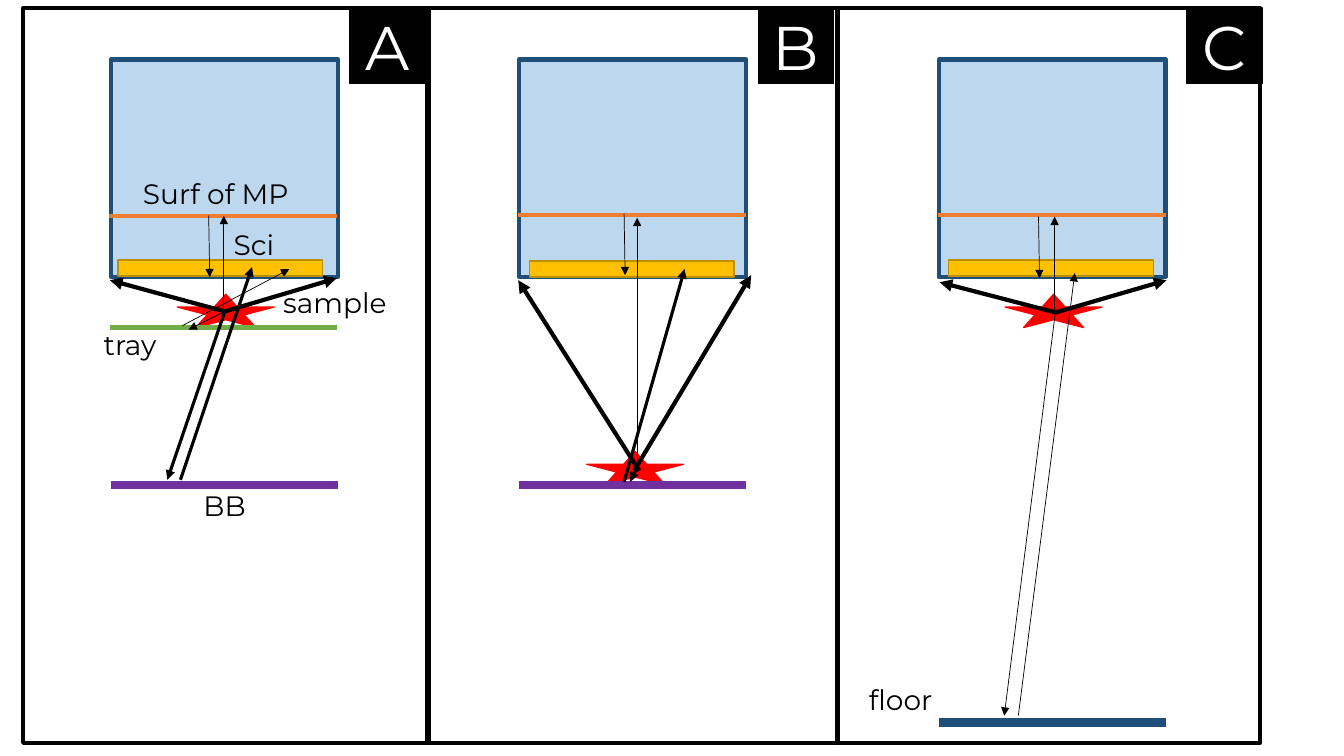
from pptx import Presentation
from pptx.dml.color import RGBColor
from pptx.enum.shapes import MSO_CONNECTOR as Connector, MSO_SHAPE as Preset
from pptx.enum.text import MSO_ANCHOR as Anchor, MSO_AUTO_SIZE as AutoSize, PP_ALIGN as Align
from pptx.oxml.ns import qn
from pptx.util import Inches, Pt
from lxml.etree import SubElement

BLACK, WHITE, RED, NAVY = "000000", "FFFFFF", "FF0000", "1F4E79"
PALE_BLUE, ORANGE, GREEN, PURPLE = "BDD7EE", "ED7D31", "70AD47", "7030A0"
GOLD, DARK_GOLD = "FFC000", "BD8E00"
THIN, MEDIUM, THICK, BAR = 0.5, 2.25, 3, 6


def rgb(value):
    return RGBColor.from_string(value)


class Diagram:
    """Hold the text style and the current slide, and draw each kind of element."""

    font = "Montserrat"
    label_size = 20
    letter_size = 44

    def __init__(self, slide):
        self.slide = slide

    def set_text(self, frame, text, size, color):
        frame.text = text
        font = frame.paragraphs[0].runs[0].font
        font.name, font.size = self.font, Pt(size)
        font.color.rgb = rgb(color)

    def shape(self, preset, bounds, fill, line, weight=1):
        shape = self.slide.shapes.add_shape(preset, *map(Inches, bounds))
        shape.shadow.inherit = False
        if fill:
            shape.fill.solid()
            shape.fill.fore_color.rgb = rgb(fill)
        else:
            shape.fill.background()
        shape.line.color.rgb = rgb(line)
        shape.line.width = Pt(weight)
        return shape

    def letter(self, text, left):
        tag = self.shape(Preset.RECTANGLE, (left, 0.08, 0.75, 0.75), BLACK, BLACK)
        frame = tag.text_frame
        frame.vertical_anchor = Anchor.MIDDLE
        self.set_text(frame, text, self.letter_size, WHITE)
        frame.paragraphs[0].alignment = Align.CENTER

    def label(self, text, left, top, width=1.23):
        box = self.slide.shapes.add_textbox(*map(Inches, (left, top, width, 0.44)))
        frame = box.text_frame
        frame.word_wrap = True
        frame.auto_size = AutoSize.SHAPE_TO_FIT_TEXT
        self.set_text(frame, text, self.label_size, BLACK)

    def line(self, start, end, weight, color=BLACK):
        line = self.slide.shapes.add_connector(
            Connector.STRAIGHT, *map(Inches, (*start, *end)))
        line.line.color.rgb = rgb(color)
        line.line.width = Pt(weight)
        SubElement(line._element.spPr, qn("a:effectLst"))
        return line

    def arrow(self, start, end, weight):
        arrow = self.line(start, end, weight)
        outline = arrow._element.spPr.find(qn("a:ln"))
        SubElement(outline, qn("a:tailEnd"), type="triangle")

    def apparatus(self, left, surface_left, surface_y, star, base):
        base_left, base_y, base_color = base
        self.shape(Preset.RECTANGLE, (left, 0.59, 2.25, 2.16), PALE_BLUE, NAVY, THICK)
        self.line((surface_left, surface_y), (surface_left + 2.26, surface_y), THICK, ORANGE)
        self.shape(Preset.STAR_5_POINT, (*star, 0.96, 0.33), RED, RED)
        self.line((base_left, base_y), (base_left + 2.25, base_y), BAR, base_color)

    def frame(self, left, width):
        self.shape(Preset.RECTANGLE, (left, 0.08, width, 7.29), None, BLACK, THICK)

    def plate(self, left, top):
        self.shape(Preset.RECTANGLE, (left, top, 2.03, 0.16), GOLD, DARK_GOLD)


apparatuses = [
    (1.1, 1.08, 2.14, (1.76, 2.92), (1.1, 4.81, PURPLE)),
    (5.15, 5.14, 2.13, (5.82, 4.48), (5.15, 4.81, PURPLE)),
    (9.31, 9.3, 2.13, (9.97, 2.92), (9.31, 7.17, NAVY)),
]
frames = [(0.23, 4.01), (4.25, 4.05), (8.31, 4.19)]
labels = [
    ("Sci", 2.22, 2.21), ("Surf of MP", 1.32, 1.7, 1.83), ("sample", 2.71, 2.78, 1.48),
    ("tray", 0.93, 3.2), ("BB", 1.92, 4.8), ("floor", 8.52, 6.72),
]
edge_rays = [
    ((2.23, 3.09), (1.09, 2.78)), ((2.23, 3.09), (3.34, 2.76)),
]
plates = [(1.17, 2.58), (5.25, 2.59), (9.41, 2.58)]
letters = [("A", 3.47), ("B", 7.52), ("C", 11.77)]
rays = [
    ((2.07, 2.14), (2.08, 2.75), THIN),
    ((2.22, 3.09), (2.22, 2.14), THIN),
    ((2.23, 3.09), (1.87, 3.27), THIN),
    ((1.81, 3.23), (2.87, 2.67), THIN),
    ((2.23, 3.09), (1.66, 4.76), MEDIUM),
    ((1.79, 4.76), (2.5, 2.65), MEDIUM),
    ((6.34, 4.67), (5.14, 2.78), THICK),
    ((6.29, 4.67), (7.45, 2.73), THICK),
    ((6.19, 2.12), (6.2, 2.73), THIN),
    ((6.32, 4.58), (6.32, 2.16), THIN),
    ((6.31, 4.65), (6.25, 4.78), MEDIUM),
    ((6.19, 4.78), (6.79, 2.67), MEDIUM),
    ((10.47, 3.1), (9.32, 2.8), THICK),
    ((10.47, 3.1), (11.57, 2.78), THICK),
    ((10.3, 2.15), (10.31, 2.76), THIN),
    ((10.46, 3.1), (10.46, 2.15), THIN),
    ((10.47, 3.08), (9.96, 7.1), THIN),
    ((10.1, 7.1), (10.66, 2.71), THIN),
]

deck = Presentation()
deck.slide_width, deck.slide_height = Inches(13.33), Inches(7.5)
diagram = Diagram(deck.slides.add_slide(deck.slide_layouts[6]))

for apparatus in apparatuses:
    diagram.apparatus(*apparatus)
diagram.line((1.09, 3.25), (3.34, 3.25), THICK, GREEN)
for frame in frames:
    diagram.frame(*frame)
for label in labels:
    diagram.label(*label)
for start, end in edge_rays:
    diagram.arrow(start, end, THICK)
for plate in plates:
    diagram.plate(*plate)
for letter in letters:
    diagram.letter(*letter)
for ray in rays:
    diagram.arrow(*ray)

deck.save("out.pptx")
